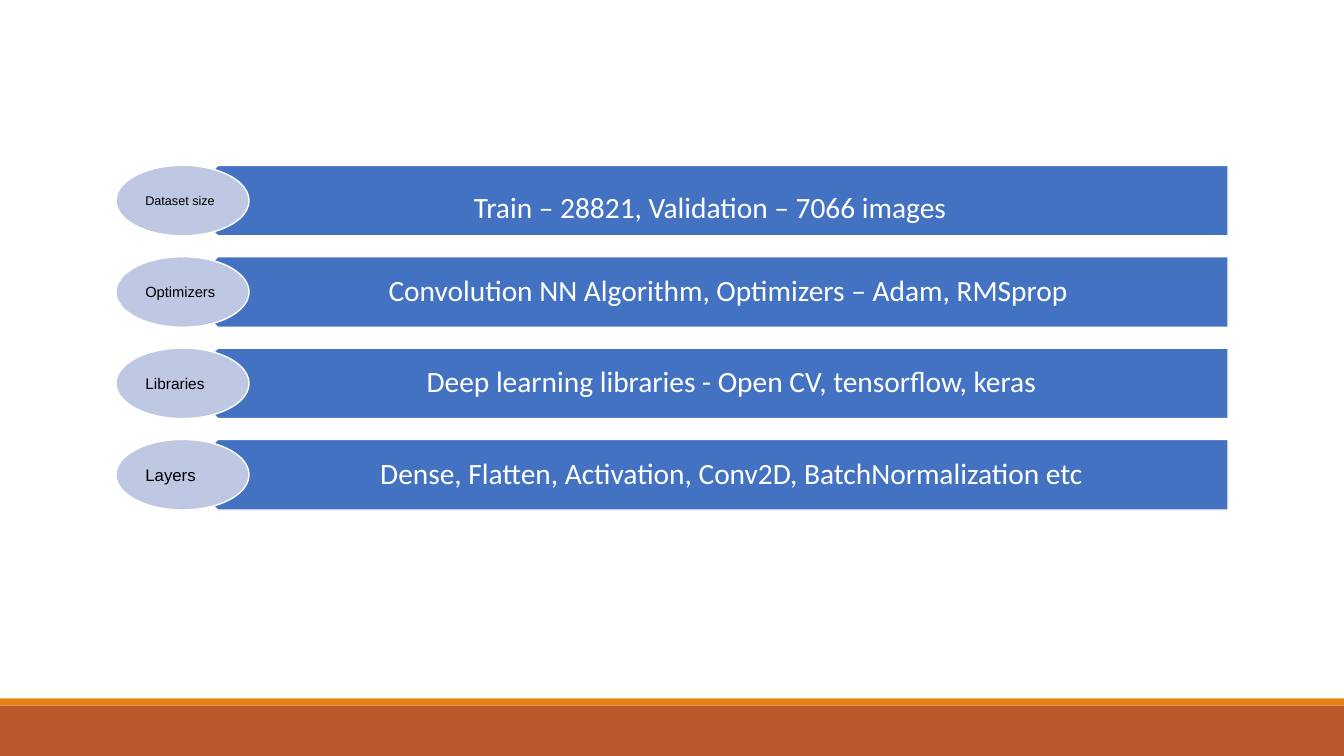
import pptx
import pptx.util
import pptx.dml.color
import pptx.enum.shapes
import pptx.enum.text

Inches = pptx.util.Inches
Pt = pptx.util.Pt
SHAPE = pptx.enum.shapes.MSO_SHAPE
ALIGN = pptx.enum.text.PP_ALIGN

COLORS = {
    "bar": "4372C3",
    "label": "BFC8E3",
    "outline": "FFFFFF",
    "bar text": "FFFFFF",
    "label text": "000000",
    "footer": "BD582C",
    "footer stripe": "E48312",
}

# label, label size, detail, detail box (left, offset from row top, width, height)
FULL_BOX = (2.14, 0, 10.04, 0.7)
ROWS = [
    ("Dataset size", 9, "Train – 28821, Validation – 7066 images ", (2.14, 0.17, 9.68, 0.53)),
    ("Optimizers", 10.5, "Convolution NN Algorithm, Optimizers – Adam, RMSprop ", FULL_BOX),
    ("Libraries", 11, "Deep learning libraries - Open CV, tensorflow, keras", FULL_BOX),
    ("Layers", 12, "Dense, Flatten, Activation, Conv2D, BatchNormalization etc", FULL_BOX),
]
FIRST_TOP, LAST_TOP, ROW_HEIGHT = 1.64, 4.36, 0.7
ROW_PITCH = (LAST_TOP - FIRST_TOP) / (len(ROWS) - 1)


def rgb(name):
    return pptx.dml.color.RGBColor.from_string(COLORS[name])


def add_filled(slide, kind, box, fill, outline=None):
    shape = slide.shapes.add_shape(kind, *map(Inches, box))
    shape.shadow.inherit = False
    shape.fill.solid()
    shape.fill.fore_color.rgb = rgb(fill)
    if outline:
        shape.line.color.rgb = rgb(outline)
        shape.line.width = Pt(1)
    else:
        shape.line.fill.background()
    return shape


def write(shape, text, font, size, color, align, insets):
    """Put one middle-anchored paragraph in a shape; insets run left, top, right, bottom."""
    frame = shape.text_frame
    frame.text = text
    frame.word_wrap = True
    frame.vertical_anchor = pptx.enum.text.MSO_ANCHOR.MIDDLE
    (frame.margin_left, frame.margin_top,
     frame.margin_right, frame.margin_bottom) = map(Inches, insets)
    paragraph = frame.paragraphs[0]
    paragraph.alignment = align
    run_font = paragraph.runs[0].font
    run_font.name = font
    run_font.size = Pt(size)
    run_font.color.rgb = rgb(color)
    return paragraph


def add_row(slide, top, label, label_size, detail, detail_box):
    bar = add_filled(slide, SHAPE.PENTAGON, (1.81, top, 10.37, ROW_HEIGHT), "bar", "outline")
    bar.rotation = 180

    left, offset, width, height = detail_box
    detail_text = slide.shapes.add_textbox(*map(Inches, (left, top + offset, width, height)))
    paragraph = write(detail_text, detail, "Calibri", 21, "bar text", ALIGN.CENTER,
                      (0.43, 0.13, 0.24, 0.13))
    paragraph.line_spacing = 0.9

    badge = add_filled(slide, SHAPE.OVAL, (1.15, top, 1.32, ROW_HEIGHT), "label", "outline")
    write(badge, label, "Arial", label_size, "label text", ALIGN.LEFT, (0.1, 0.1, 0.1, 0.1))


def main():
    deck = pptx.Presentation()
    deck.slide_width, deck.slide_height = Inches(13.33), Inches(7.5)
    slide = deck.slides.add_slide(deck.slide_layouts.get_by_name("Blank"))

    add_filled(slide, SHAPE.RECTANGLE, (0, 7, 13.33, 0.5), "footer")
    add_filled(slide, SHAPE.RECTANGLE, (0, 6.93, 13.33, 0.07), "footer stripe")
    for index, row in enumerate(ROWS):
        add_row(slide, FIRST_TOP + index * ROW_PITCH, *row)

    deck.save("out.pptx")


if __name__ == "__main__":
    main()
